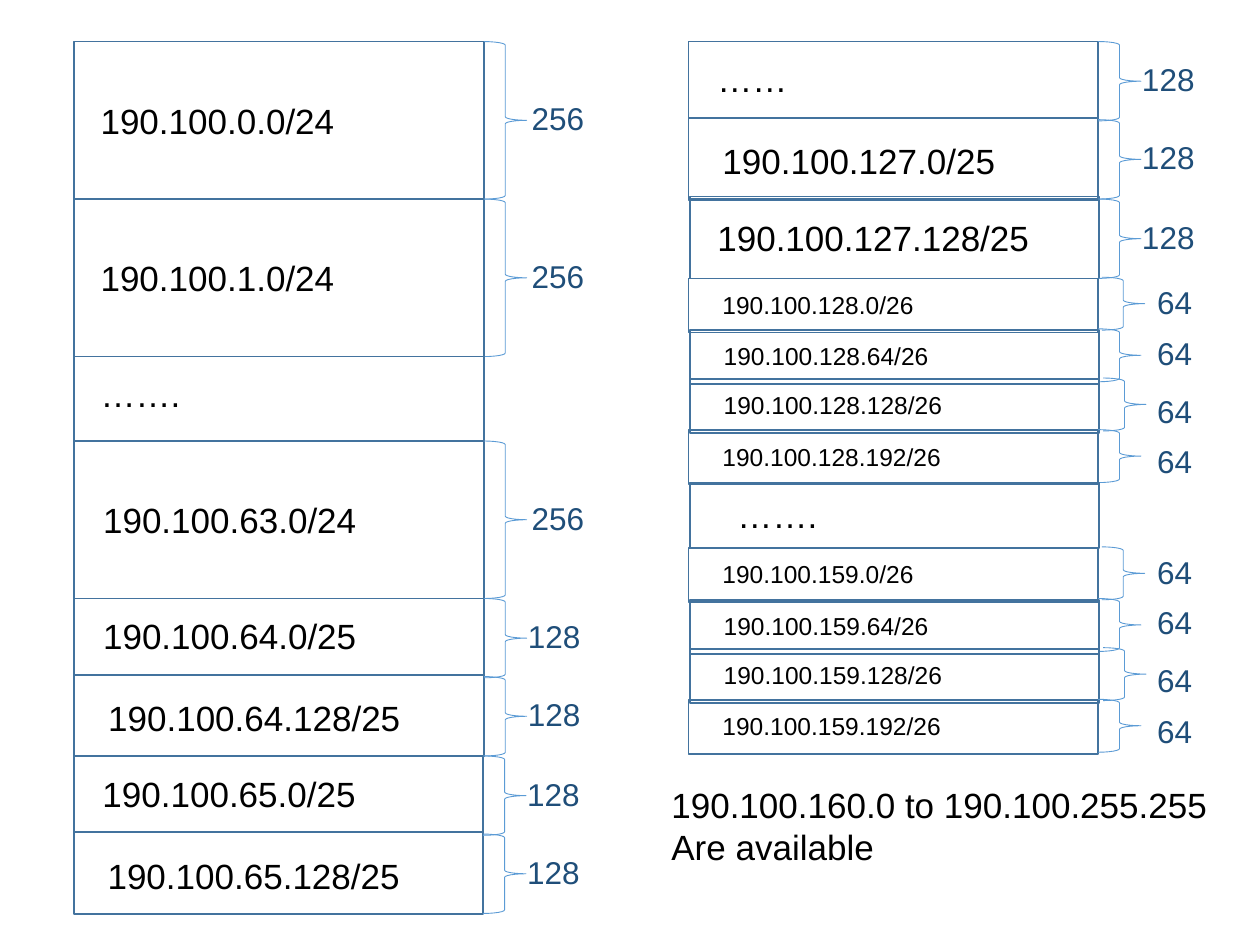
from pptx import Presentation
from pptx.dml.color import RGBColor
from pptx.enum.shapes import MSO_SHAPE
from pptx.enum.text import MSO_AUTO_SIZE
from pptx.util import Inches, Pt

BLOCK_LINE = RGBColor(0x43, 0x73, 0x9E)
BRACE_LINE = RGBColor(0x5B, 0x9B, 0xD5)
COUNT_COLOR = RGBColor(0x1F, 0x4E, 0x79)
BLACK = RGBColor(0x00, 0x00, 0x00)

# The slide is a grid of 100 columns and 75 rows.
SLIDE_WIDTH, SLIDE_HEIGHT = Inches(10), Inches(7.5)
CELL = SLIDE_WIDTH / 100

BLOCK_WIDTH = 32.5
FULL, HALF, QUARTER = 12.5, 6.5, 4.3
LEFT_COLUMN, RIGHT_COLUMN = 5.9, 54.65
GAP_LABEL_WIDTH = 8.6

# Rows of a /26 group: block left, block top, label width, brace left, brace top, count top
QUARTER_ROWS = [
    (0, 0, 19.5, 32.8, -0.1, -0.1),
    (0.1, 4.1, 21.9, 32.5, 4.0, 3.9),
    (0.1, 8.0, 19.5, 32.9, 7.9, 8.5),
    (0, 12.05, 21.9, 32.5, 12.0, 12.5),
]


def place(left, top, width, height):
    """Turn grid cells into slide lengths."""
    return [round(cells * CELL) for cells in (left, top, width, height)]


def add_outline(page, kind, area, color, weight):
    shape = page.shapes.add_shape(kind, *place(*area))
    shape.shadow.inherit = False
    shape.fill.background()
    shape.line.color.rgb = color
    shape.line.width = Pt(weight)


def add_block(page, left, top, height):
    add_outline(page, MSO_SHAPE.RECTANGLE, (left, top, BLOCK_WIDTH, height), BLOCK_LINE, 1)


def add_brace(page, left, top, height):
    add_outline(page, MSO_SHAPE.RIGHT_BRACE, (left, top, 3.4, height), BRACE_LINE, 0.5)


def add_text(page, area, lines, size, color=BLACK, wrap=False):
    box = page.shapes.add_textbox(*place(*area))
    frame = box.text_frame
    frame.word_wrap = wrap
    frame.auto_size = MSO_AUTO_SIZE.SHAPE_TO_FIT_TEXT
    frame.text = "\n".join(lines)
    for paragraph in frame.paragraphs:
        paragraph.font.name = "Arial"
        paragraph.font.size = Pt(size)
        paragraph.font.color.rgb = color


def add_label(page, left, top, text):
    """Add a large block label; an address sets its width by its number of characters."""
    width = 1.55 * len(text) - 1 if text[0].isdigit() else GAP_LABEL_WIDTH
    add_text(page, (left, top, width, 4.4), [text], 20)


def add_count(page, left, top, count):
    add_text(page, (left, top, 7.5, 4), [str(count)], 18, COUNT_COLOR, wrap=True)


def add_full(page, top, text, indent):
    """Add one /24 block with its brace."""
    left = LEFT_COLUMN
    add_block(page, left, top, FULL)
    add_label(page, left + indent, top + 4.1, text)
    add_brace(page, left + BLOCK_WIDTH, top, FULL)
    add_count(page, left + 35.3, top + 4.1, 256)


def add_half_brace(page, left, top):
    add_brace(page, left + BLOCK_WIDTH, top, 6.3)
    add_count(page, left + 35, top + 1, 128)


def add_halves(page, left, top, first, second):
    """Add a full block whose lower half is outlined again, for two /25 ranges."""
    add_block(page, left, top, FULL)
    add_block(page, left, top + 6.05, HALF)
    add_label(page, left + 1.3, top + 0.8, first)
    add_label(page, left + 1.7, top + 7.3, second)
    for offset in (0, 6.2):
        add_half_brace(page, left, top + offset)


def add_quarters(page, top, network):
    """Add the four /26 blocks of a network."""
    for index, row in enumerate(QUARTER_ROWS):
        block_left, block_top, label_width, brace_left, brace_top, count_top = row
        left = RIGHT_COLUMN + block_left
        add_block(page, left, top + block_top, QUARTER)
        add_text(page, (left + 1.7, top + block_top + 0.4, label_width, 3.4),
                 [f"{network}.{64 * index}/26"], 14, wrap=True)
        add_brace(page, RIGHT_COLUMN + brace_left, top + brace_top, 4.2)
        add_count(page, RIGHT_COLUMN + 36.2, top + count_top, 64)


def add_gap(page, left, top, height, indent, drop):
    """Add a block that stands for the ranges left out."""
    add_block(page, left, top, height)
    add_label(page, left + indent, top + drop, "…….")


def main():
    deck = Presentation()
    deck.slide_width, deck.slide_height = SLIDE_WIDTH, SLIDE_HEIGHT
    page = deck.slides.add_slide(deck.slide_layouts[6])

    add_full(page, 3.3, "190.100.0.0/24", 1.1)
    add_full(page, 15.8, "190.100.1.0/24", 1.1)
    add_gap(page, LEFT_COLUMN, 28.3, 6.7, 1.1, 0.8)
    add_full(page, 35, "190.100.63.0/24", 1.3)
    add_halves(page, LEFT_COLUMN, 47.5, "190.100.64.0/25", "190.100.64.128/25")
    add_halves(page, LEFT_COLUMN - 0.05, 60, "190.100.65.0/25", "190.100.65.128/25")

    add_halves(page, RIGHT_COLUMN, 3.3, "……", "190.100.127.0/25")
    add_block(page, RIGHT_COLUMN + 0.1, 15.6, HALF)
    add_label(page, RIGHT_COLUMN + 1.3, 16.7, "190.100.127.128/25")
    add_half_brace(page, RIGHT_COLUMN, 15.8)
    add_quarters(page, 22.1, "190.100.128")
    add_gap(page, RIGHT_COLUMN + 0.1, 38.3, 5.2, 2.8, 0.4)
    add_quarters(page, 43.5, "190.100.159")
    add_text(page, (52.3, 61.7, 44.8, 7.7),
             ["190.100.160.0 to 190.100.255.255", "Are available"], 20)

    deck.save("out.pptx")


if __name__ == "__main__":
    main()
